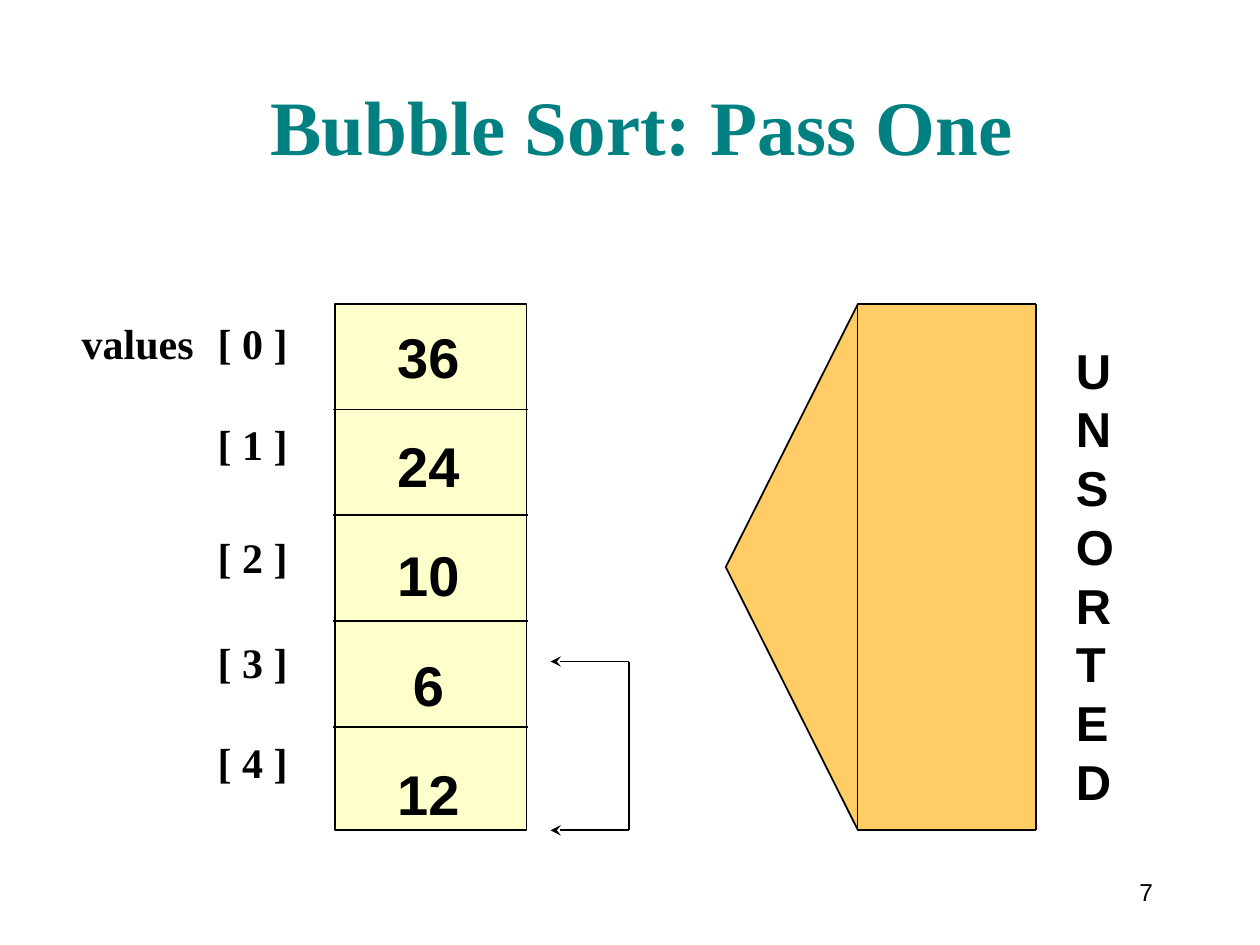
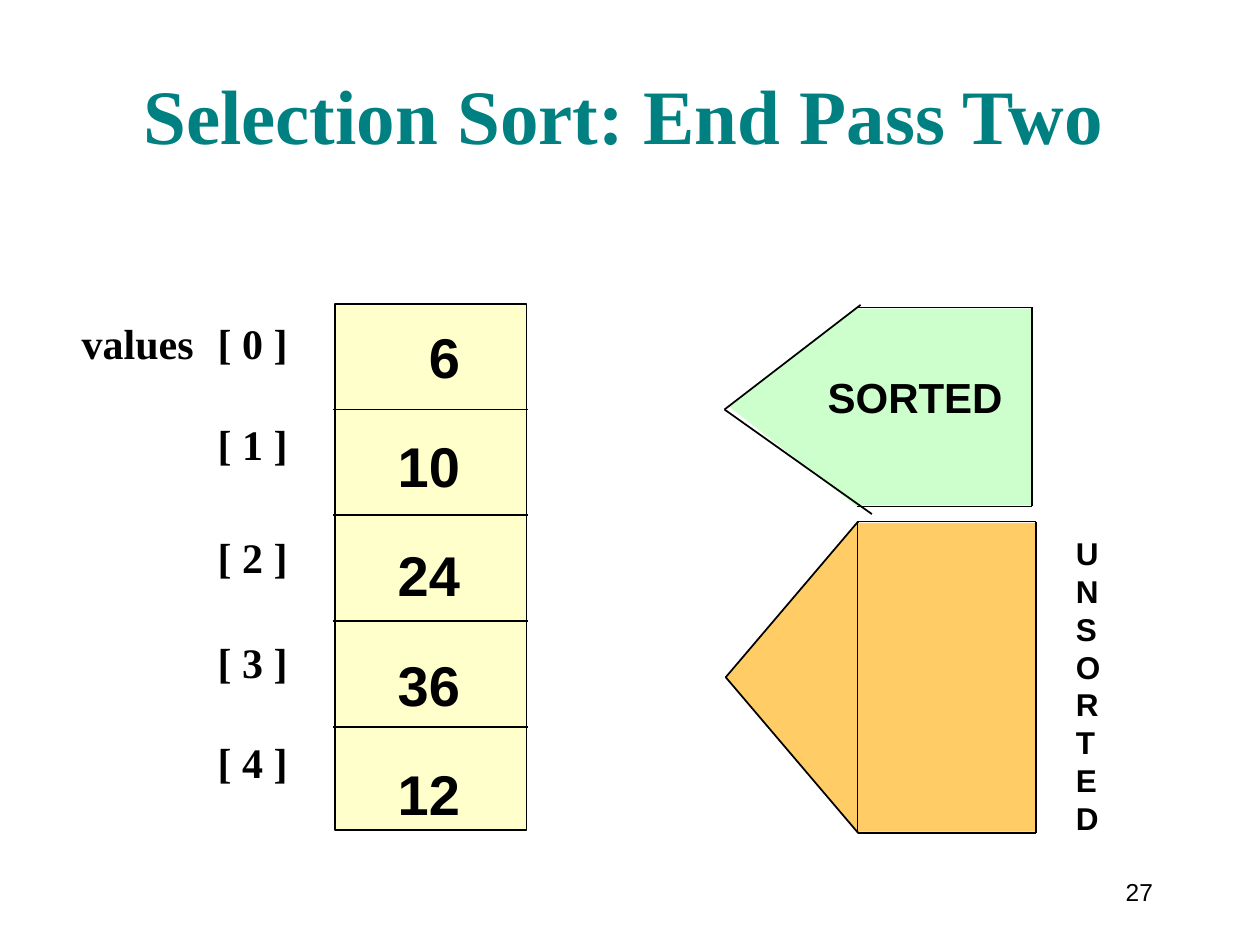
from lxml.etree import SubElement
from pptx import Presentation
from pptx.dml.color import RGBColor
from pptx.enum.shapes import MSO_CONNECTOR, MSO_SHAPE
from pptx.enum.text import MSO_ANCHOR, PP_ALIGN
from pptx.oxml.ns import qn
from pptx.util import Inches, Pt

# Colours and fonts
TEAL = RGBColor(0x00, 0x80, 0x80)
BLACK = RGBColor(0x00, 0x00, 0x00)
CREAM = RGBColor(0xFF, 0xFF, 0xCC)
AMBER = RGBColor(0xFF, 0xCC, 0x66)
MINT = RGBColor(0xCC, 0xFF, 0xCC)
SANS, SERIF = "Arial", "Times New Roman"

# Grid of 10 columns and 7.5 rows
WIDE, HIGH = Inches(10), Inches(7.5)
COL, ROW = WIDE / 10, HIGH / 7.5

# Array of values
LEFT, RIGHT, TOP, STEP, CELLS = 2.66, 4.18, 2.41, 0.84, 5
GAPS = (0, 29, 36, 31, 28)
LEAD = 1.2


def grid(x, y, w, h):
    return round(x * COL), round(y * ROW), round(w * COL), round(h * ROW)


def style(run, size, font, color=BLACK, bold=True):
    run.font.size = Pt(size)
    run.font.name = font
    run.font.bold = bold
    run.font.color.rgb = color


def add_text(slide, box, lines, size, font=SANS, gaps=None,
             align=PP_ALIGN.LEFT, bold=True, tab=None):
    frame = slide.shapes.add_textbox(*grid(*box)).text_frame
    frame.word_wrap = False
    frame.text = "\n".join(lines)
    for i, para in enumerate(frame.paragraphs):
        para.alignment = align
        para.line_spacing = Pt(LEAD * size)
        para.space_before = Pt(gaps[i] if gaps else 0)
        if tab:
            stops = SubElement(para._p.get_or_add_pPr(), qn("a:tabLst"))
            SubElement(stops, qn("a:tab"), pos=str(round(tab * COL)), algn="l")
        for run in para.runs:
            style(run, size, font, bold=bold)
    return frame


def add_line(slide, x1, y1, x2, y2, head=False):
    x, y, to_x, to_y = grid(x1, y1, x2, y2)
    link = slide.shapes.add_connector(MSO_CONNECTOR.STRAIGHT, x, y, to_x, to_y)
    link.line.color.rgb = BLACK
    link.line.width = Pt(1)
    if head:
        SubElement(link.line._get_or_add_ln(), qn("a:headEnd"), type="stealth")
    SubElement(link._element.spPr, qn("a:effectLst"))


def add_shape(slide, kind, box, fill, edge=False):
    shape = slide.shapes.add_shape(kind, *grid(*box))
    shape.shadow.inherit = False
    shape.fill.solid()
    shape.fill.fore_color.rgb = fill
    if edge:
        shape.line.color.rgb = BLACK
        shape.line.width = Pt(1)
    else:
        shape.line.fill.background()
    return shape


def add_flag(slide, tip, neck, end, top, foot, fill, edge):
    """A block that points left, outlined on its three flat sides."""
    span, depth = foot - top, neck - tip
    box = ((tip + neck - span) / 2, (top + foot - depth) / 2, span, depth)
    point = add_shape(slide, MSO_SHAPE.ISOSCELES_TRIANGLE, box, fill, edge)
    point.rotation = 270
    add_shape(slide, MSO_SHAPE.RECTANGLE,
              (neck, top + 0.01, end - neck, span - 0.02), fill)
    for y in (top, foot):
        add_line(slide, neck, y, end, y)
    add_line(slide, end, top, end, foot)


def add_array(slide, values, align):
    # Index labels
    marks = [f"\t[ {i} ]" for i in range(CELLS)]
    marks[0] = "values" + marks[0]
    add_text(slide, (0.55, 2.47, 2.43, 3.83), marks, 24, SERIF, GAPS, tab=1.08)
    # Cells
    add_shape(slide, MSO_SHAPE.RECTANGLE,
              (LEFT, TOP, RIGHT - LEFT, CELLS * STEP - 0.02), CREAM, True)
    for i in range(1, CELLS):
        y = TOP + i * STEP
        add_line(slide, LEFT - 0.02, y, RIGHT + 0.01, y)
    # Values
    add_text(slide, (3.05, 2.51, 0.7, 4.1), values, 32,
             gaps=[0] + [24] * (CELLS - 1), align=align)


def add_page(deck, title, box, number, values, align):
    slide = deck.slides.add_slide(deck.slide_layouts[5])
    # Title
    head = slide.shapes.title
    head.left, head.top, head.width, head.height = grid(*box)
    frame = head.text_frame
    frame.text = title
    frame.vertical_anchor = MSO_ANCHOR.BOTTOM
    frame.margin_right = Inches(0.25)
    frame.paragraphs[0].alignment = PP_ALIGN.CENTER
    style(frame.paragraphs[0].runs[0], 44, SERIF, TEAL)
    # Page number
    foot = add_text(slide, (8.58, 6.83, 0.67, 0.5), [number], 14,
                    align=PP_ALIGN.RIGHT, bold=False)
    foot.vertical_anchor = MSO_ANCHOR.MIDDLE
    add_array(slide, values, align)
    return slide


def add_rest(slide, top, foot, y, size):
    """The unsorted part with its upright label."""
    add_flag(slide, 5.76, 6.81, 8.22, top, foot, AMBER, True)
    add_text(slide, (8.44, y, 0.5, foot - y), "UNSORTED", size)


def main():
    deck = Presentation()
    deck.slide_width, deck.slide_height = WIDE, HIGH

    # Bubble sort
    slide = add_page(deck, "Bubble Sort: Pass One", (1.53, 0.16, 7.28, 1.25),
                     "7", ["36", "24", "10", "6", "12"], PP_ALIGN.CENTER)
    add_rest(slide, 2.41, 6.59, 2.65, 28)
    # Swap bracket
    add_line(slide, 4.99, 5.25, 4.99, 6.59)
    for y in (5.25, 6.59):
        add_line(slide, 4.37, y, 4.99, y, head=True)

    # Selection sort
    slide = add_page(deck, "Selection Sort: End Pass Two",
                     (0.88, 0.07, 8.29, 1.25), "27",
                     ["6", "10", "24", "36", "12"], PP_ALIGN.RIGHT)
    add_rest(slide, 4.14, 6.61, 4.19, 18)
    # Sorted part
    add_flag(slide, 5.79, 6.8, 8.19, 2.44, 4.02, MINT, False)
    add_text(slide, (6.47, 2.9, 1.59, 0.5), ["SORTED"], 24)
    add_line(slide, 5.75, 3.25, 6.83, 2.42)
    add_line(slide, 5.75, 3.25, 6.92, 4.08)

    deck.save("out.pptx")


if __name__ == "__main__":
    main()
